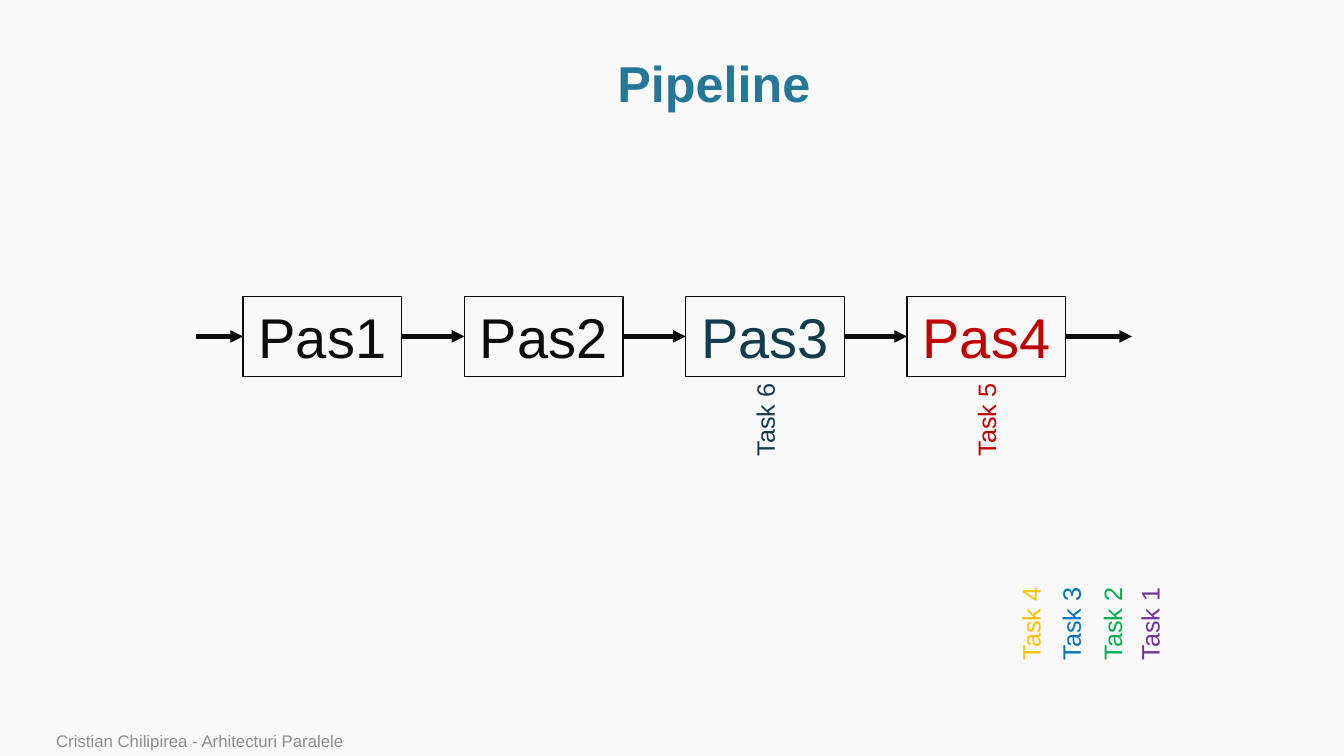
"""Build the Pipeline slide: four linked steps, two running tasks and four finished ones."""
from dataclasses import dataclass

from lxml.etree import SubElement
from pptx import Presentation
from pptx.dml.color import RGBColor
from pptx.enum.shapes import MSO_CONNECTOR, MSO_SHAPE
from pptx.enum.text import MSO_ANCHOR, MSO_AUTO_SIZE, PP_ALIGN
from pptx.oxml.ns import qn
from pptx.util import Pt


@dataclass(frozen=True)
class Theme:
    font: str = "Arial"
    background: str = "F9F9F9"
    title: str = "247798"
    ink: str = "0C0C0C"
    teal: str = "123B4C"
    red: str = "C00000"
    purple: str = "7030A0"
    green: str = "00B050"
    blue: str = "0070C0"
    yellow: str = "FFC000"
    footer: str = "8C8C8C"
    title_size: int = 36
    step_size: int = 40
    task_size: int = 18
    footer_size: int = 12


class SlideBuilder:
    def __init__(self, prs, theme):
        self.theme = theme
        self.slide = prs.slides.add_slide(prs.slide_layouts[5])
        fill = self.slide.background.fill
        fill.solid()
        fill.fore_color.rgb = RGBColor.from_string(theme.background)

    def set_text(self, sp, text, size, color, align=PP_ALIGN.LEFT, anchor=MSO_ANCHOR.TOP, bold=False):
        tf = sp.text_frame
        tf.text = text
        tf.word_wrap = True
        tf.vertical_anchor = anchor
        p = tf.paragraphs[0]
        p.alignment = align
        font = p.runs[0].font
        font.name = self.theme.font
        font.size = Pt(size)
        font.bold = bold
        font.color.rgb = RGBColor.from_string(color)
        return tf

    def title(self, text, x, y, w, h):
        sp = self.slide.shapes.title
        sp.left, sp.top, sp.width, sp.height = Pt(x), Pt(y), Pt(w), Pt(h)
        tf = self.set_text(sp, text, self.theme.title_size, self.theme.title,
                           PP_ALIGN.CENTER, MSO_ANCHOR.MIDDLE, True)
        tf.paragraphs[0].line_spacing = 0.9

    def step(self, text, x, y, w, h, color):
        sp = self.slide.shapes.add_shape(MSO_SHAPE.RECTANGLE, Pt(x), Pt(y), Pt(w), Pt(h))
        sp.shadow.inherit = False
        sp.fill.background()
        sp.line.color.rgb = RGBColor.from_string(self.theme.ink)
        sp.line.width = Pt(1)
        self.set_text(sp, text, self.theme.step_size, color, PP_ALIGN.CENTER, MSO_ANCHOR.MIDDLE)
        return sp

    def arrow(self, x1, x2, y, source=None, target=None):
        cx = self.slide.shapes.add_connector(MSO_CONNECTOR.STRAIGHT, Pt(x1), Pt(y), Pt(x2), Pt(y))
        if source is not None:
            cx.begin_connect(source, 3)
        if target is not None:
            cx.end_connect(target, 1)
        cx.line.color.rgb = RGBColor.from_string(self.theme.ink)
        cx.line.width = Pt(3)
        properties = cx._element.spPr
        SubElement(properties.find(qn("a:ln")), qn("a:tailEnd"), type="triangle")
        SubElement(properties, qn("a:effectLst"))

    def task(self, text, cx, cy, color, w=67, h=29):
        sp = self.slide.shapes.add_textbox(Pt(cx - w / 2), Pt(cy - h / 2), Pt(w), Pt(h))
        sp.rotation = 270
        tf = self.set_text(sp, text, self.theme.task_size, color)
        tf.word_wrap = False
        tf.auto_size = MSO_AUTO_SIZE.SHAPE_TO_FIT_TEXT

    def footer(self, text, x, y, w, h):
        sp = self.slide.shapes.add_textbox(Pt(x), Pt(y), Pt(w), Pt(h))
        self.set_text(sp, text, self.theme.footer_size, self.theme.footer, anchor=MSO_ANCHOR.BOTTOM)


def main():
    prs = Presentation()
    prs.slide_width, prs.slide_height = Pt(960), Pt(540)
    theme = Theme()
    s = SlideBuilder(prs, theme)
    s.title("Pipeline", 82, 36.5, 856, 49.7)

    left, top, width, height, pitch = 173.6, 211.7, 113.3, 57.2, 158.1
    middle = top + height / 2
    colors = [theme.ink, theme.ink, theme.teal, theme.red]
    steps = [s.step(f"Pas{i + 1}", left + i * pitch, top, width, height, color)
             for i, color in enumerate(colors)]

    ends = [140, *(left + i * pitch for i in range(4)), 808.6]
    for x, x_next, source, target in zip(ends, ends[1:], [None, *steps], [*steps, None]):
        start = x if source is None else x + width
        s.arrow(start, x_next, middle, source, target)

    finished = [(821.2, theme.purple), (794.5, theme.green), (765, theme.blue), (736.2, theme.yellow)]
    for number, (x, color) in enumerate(finished, 1):
        s.task(f"Task {number}", x, 445.2, color)
    for number, i in ((5, 3), (6, 2)):
        s.task(f"Task {number}", left + i * pitch + width / 2, 299.5, colors[i])

    s.footer("Cristian Chilipirea - Arhitecturi Paralele", 33, 520, 707, 20)
    prs.save("out.pptx")


if __name__ == "__main__":
    main()
